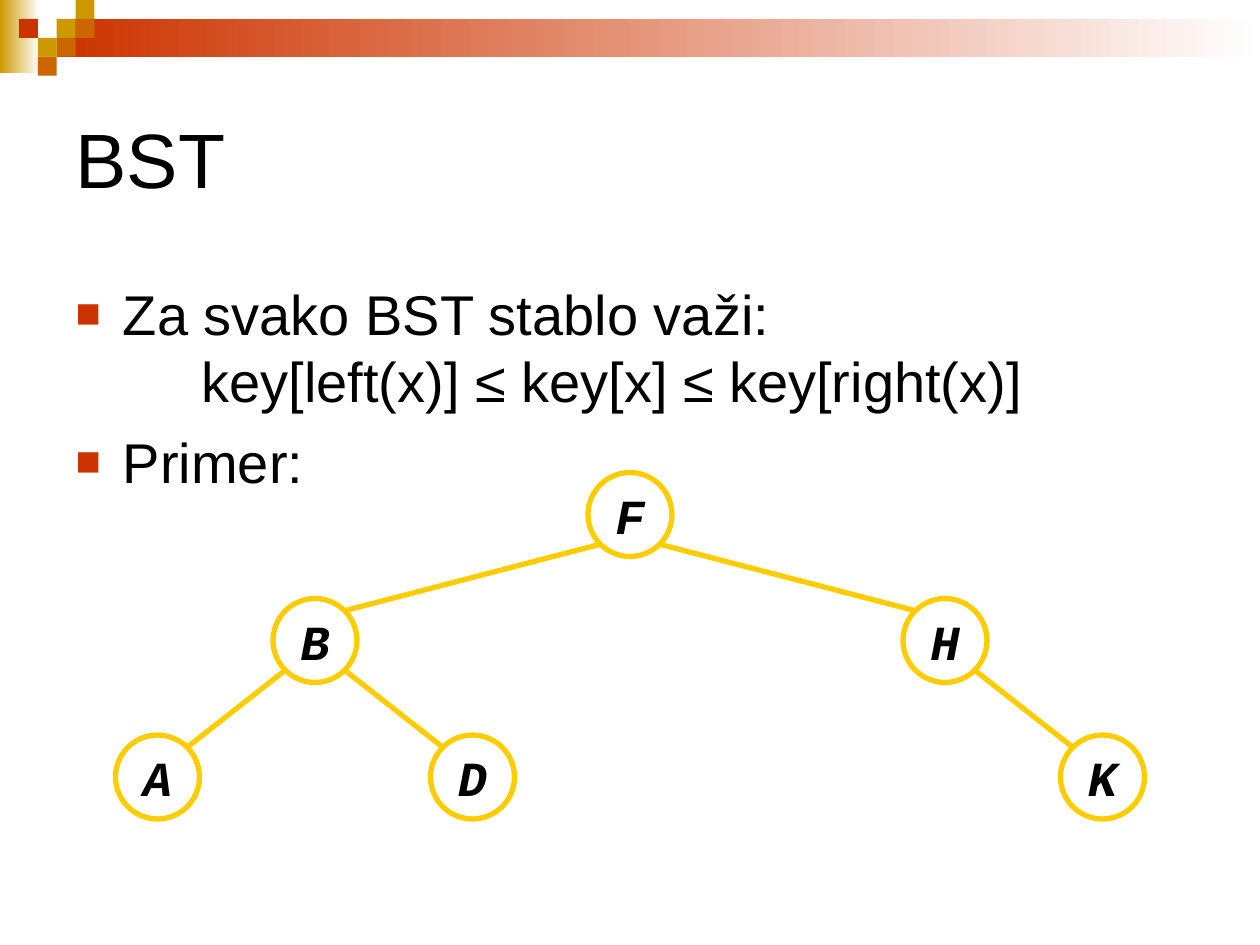
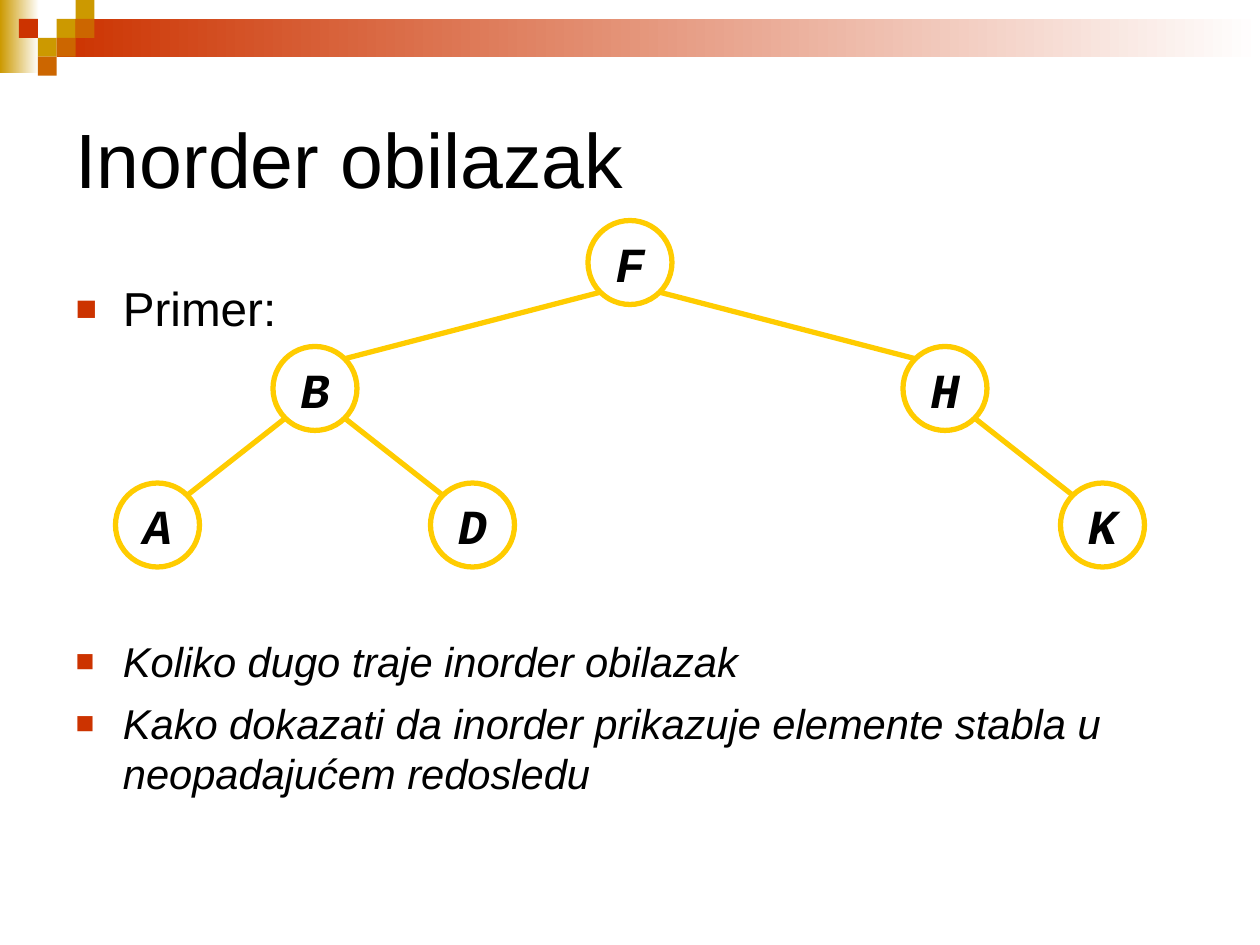
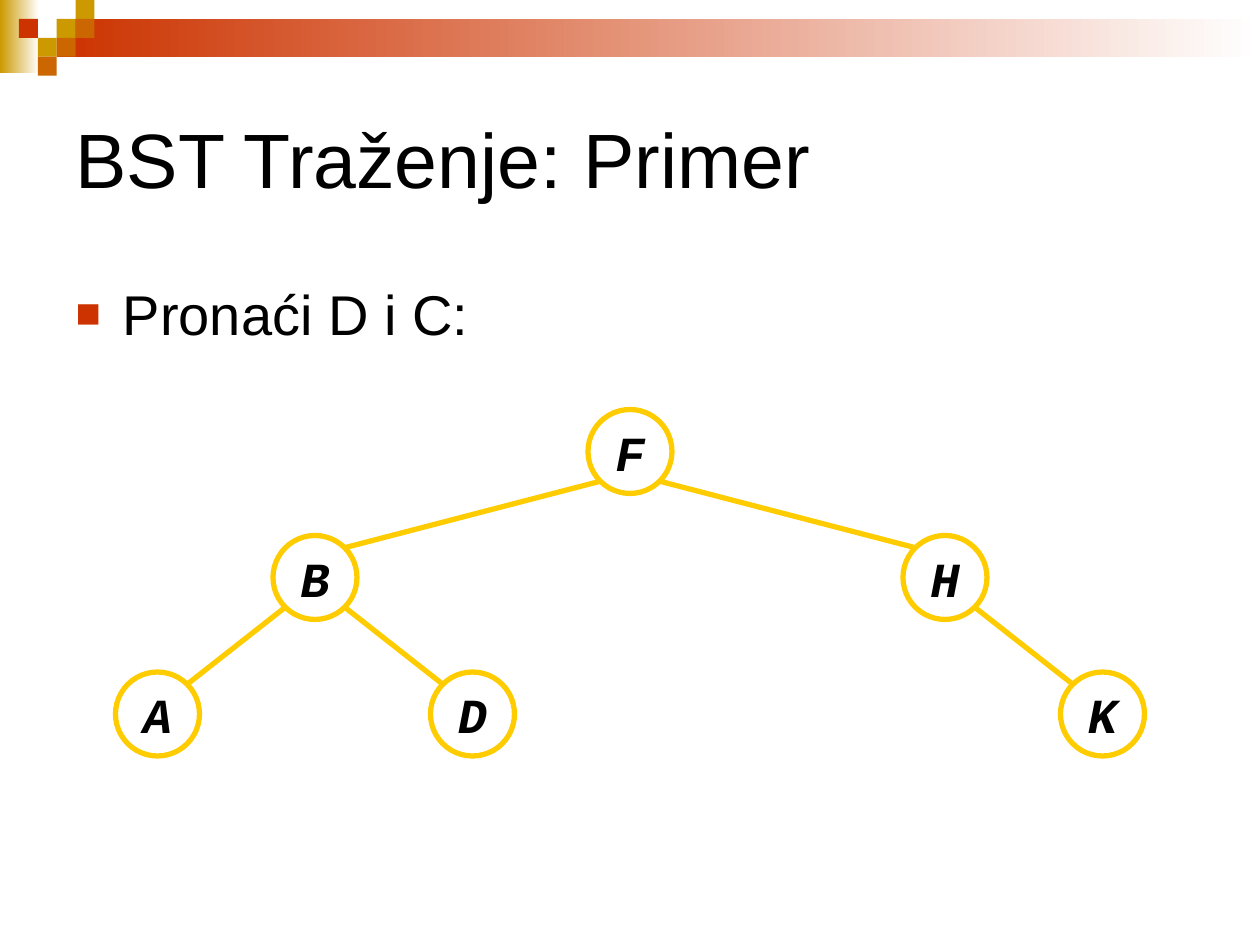
from lxml import etree
from pptx import Presentation
from pptx.dml.color import RGBColor
from pptx.enum.dml import MSO_LINE
from pptx.enum.shapes import MSO_CONNECTOR, MSO_SHAPE
from pptx.enum.text import MSO_ANCHOR, MSO_AUTO_SIZE, PP_ALIGN
from pptx.oxml.ns import qn
from pptx.util import Pt

WHITE = RGBColor(0xFF, 0xFF, 0xFF)
BLACK = RGBColor(0x00, 0x00, 0x00)
RED = RGBColor(0xCC, 0x33, 0x00)
GOLD = RGBColor(0xCC, 0x99, 0x00)
ORANGE = RGBColor(0xCC, 0x66, 0x00)
YELLOW = RGBColor(0xFF, 0xCC, 0x00)

TEXT_FONT = "Arial"
NODE_FONT = "Courier New"
SLIDE_WIDTH, SLIDE_HEIGHT = 720, 540
TITLE_AREA = (36, 36, 648, 108)
BODY_AREA = (36, 156, 648, 306)
BULLET_INDENT = 27
TAB_STOP = 72

CELL = 10.8
MOSAIC = {GOLD: [(3, 1), (4, 0), (2, 2)],
          ORANGE: [(4, 1), (3, 2), (2, 3)],
          RED: [(1, 1)]}

NODE_SIZE = 48
RIM = 17  # distance from a node's centre to its diagonal rim point, per axis
LEVELS = (0, 72, 150)
NODES = {"F": (360, 0), "B": (180, 1), "H": (540, 1),
         "K": (630, 2), "D": (270, 2), "A": (90, 2)}
EDGES = ["BA", "BD", "FB", "FH", "HK"]


def place(shape, area):
    shape.left, shape.top, shape.width, shape.height = map(Pt, area)


def style_runs(para, size, font=TEXT_FONT, bold=False, italic=False):
    for span in para.runs:
        span.font.name = font
        span.font.size = Pt(size)
        span.font.bold = bold
        span.font.italic = italic
        span.font.color.rgb = BLACK


def add_block(page, area, color, fade=False):
    """Add a borderless rectangle, solid or fading to white on the right."""
    block = page.shapes.add_shape(MSO_SHAPE.RECTANGLE, *map(Pt, area))
    block.shadow.inherit = False
    block.line.fill.background()
    if fade:
        block.fill.gradient()
        block.fill.gradient_angle = 0
        for stop, stop_color in zip(block.fill.gradient_stops, (color, WHITE)):
            stop.color.rgb = stop_color
    else:
        block.fill.solid()
        block.fill.fore_color.rgb = color
    return block


def prepare_layout(layout, page):
    """Give the layout its header band and text areas; page lends its shape tools."""
    for holder in list(layout.placeholders):
        index = holder.placeholder_format.idx
        if index > 1:
            holder.element.getparent().remove(holder.element)
        else:
            place(holder, BODY_AREA if index else TITLE_AREA)

    band_left = 3 * CELL
    blocks = [add_block(page, (0, 0, 22.3, 41.8), GOLD, fade=True),
              add_block(page, (band_left, CELL, SLIDE_WIDTH - band_left, 2 * CELL),
                        RED, fade=True)]
    for color, cells in MOSAIC.items():
        blocks += [add_block(page, (column * CELL, row * CELL, CELL, CELL), color)
                   for column, row in cells]
    for position, block in enumerate(blocks, start=2):
        layout.shapes.element.insert(position, block.element)


def set_title(page, text):
    frame = page.shapes.title.text_frame
    frame.text = text
    frame.vertical_anchor = MSO_ANCHOR.MIDDLE
    frame.auto_size = MSO_AUTO_SIZE.NONE
    para = frame.paragraphs[0]
    para.alignment = PP_ALIGN.LEFT
    style_runs(para, 44)


def add_square_bullet(para):
    properties = para._p.get_or_add_pPr()
    properties.set("marL", str(Pt(BULLET_INDENT)))
    properties.set("indent", str(-Pt(BULLET_INDENT)))
    color = etree.SubElement(properties, qn("a:buClr"))
    etree.SubElement(color, qn("a:srgbClr"), val=str(RED))
    etree.SubElement(properties, qn("a:buSzPct"), val="75000")
    etree.SubElement(properties, qn("a:buFont"), typeface=TEXT_FONT)
    etree.SubElement(properties, qn("a:buChar"), char="■")
    tabs = etree.SubElement(properties, qn("a:tabLst"))
    etree.SubElement(tabs, qn("a:tab"), pos=str(Pt(TAB_STOP)), algn="l")


def set_bullets(page, items):
    """Fill the body with items of (text, size, space before, italic)."""
    frame = page.placeholders[1].text_frame
    frame.text = "\n".join(item[0] for item in items)
    frame.auto_size = MSO_AUTO_SIZE.NONE
    for para, (_, size, space, italic) in zip(frame.paragraphs, items):
        add_square_bullet(para)
        para.space_before = Pt(space)
        style_runs(para, size, italic=italic)


def add_node(page, label, x, y):
    node = page.shapes.add_shape(MSO_SHAPE.OVAL, Pt(x - NODE_SIZE / 2),
                                 Pt(y - NODE_SIZE / 2), Pt(NODE_SIZE), Pt(NODE_SIZE))
    node.shadow.inherit = False
    node.fill.solid()
    node.fill.fore_color.rgb = WHITE
    node.line.color.rgb = YELLOW
    node.line.width = Pt(3)
    frame = node.text_frame
    frame.text = label
    frame.word_wrap = False
    frame.vertical_anchor = MSO_ANCHOR.MIDDLE
    para = frame.paragraphs[0]
    para.alignment = PP_ALIGN.CENTER
    style_runs(para, 28, NODE_FONT, bold=True, italic=True)


def add_edge(page, parent, child):
    """Join the lower rim of parent to the upper rim of child."""
    side = RIM if child[0] > parent[0] else -RIM
    ends = (parent[0] + side, parent[1] + RIM, child[0] - side, child[1] - RIM)
    edge = page.shapes.add_connector(MSO_CONNECTOR.STRAIGHT, *map(Pt, ends))
    edge.line.color.rgb = YELLOW
    edge.line.width = Pt(3)
    edge.line.dash_style = MSO_LINE.SOLID
    etree.SubElement(edge.element.spPr, qn("a:effectLst"))


def add_tree(page, top):
    centres = {label: (x, top + NODE_SIZE / 2 + LEVELS[level])
               for label, (x, level) in NODES.items()}
    for label, centre in centres.items():
        add_node(page, label, *centre)
    for parent, child in EDGES:
        add_edge(page, centres[parent], centres[child])


def main():
    slides = [
        ("BST", 270,
         [("Za svako BST stablo važi: \v\tkey[left(x)] ≤ key[x] ≤ key[right(x)]",
           32, 0, False),
          ("Primer:", 32, 8, False)]),
        ("Inorder obilazak", 126,
         [("Primer:", 27.2, 0, False),
          ("Koliko dugo traje inorder obilazak", 23.8, 171, True),
          ("Kako dokazati da inorder prikazuje elemente stabla u "
           "neopadajućem redosledu", 23.8, 7, True)]),
        ("BST Traženje: Primer", 234,
         [("Pronaći D i C:", 32, 0, False)]),
    ]
    deck = Presentation()
    deck.slide_width, deck.slide_height = Pt(SLIDE_WIDTH), Pt(SLIDE_HEIGHT)
    layout = deck.slide_layouts[1]
    pages = [deck.slides.add_slide(layout) for _ in slides]
    prepare_layout(layout, pages[0])
    for page, (title, tree_top, items) in zip(pages, slides):
        set_title(page, title)
        set_bullets(page, items)
        add_tree(page, tree_top)
    deck.save("out.pptx")


if __name__ == "__main__":
    main()
